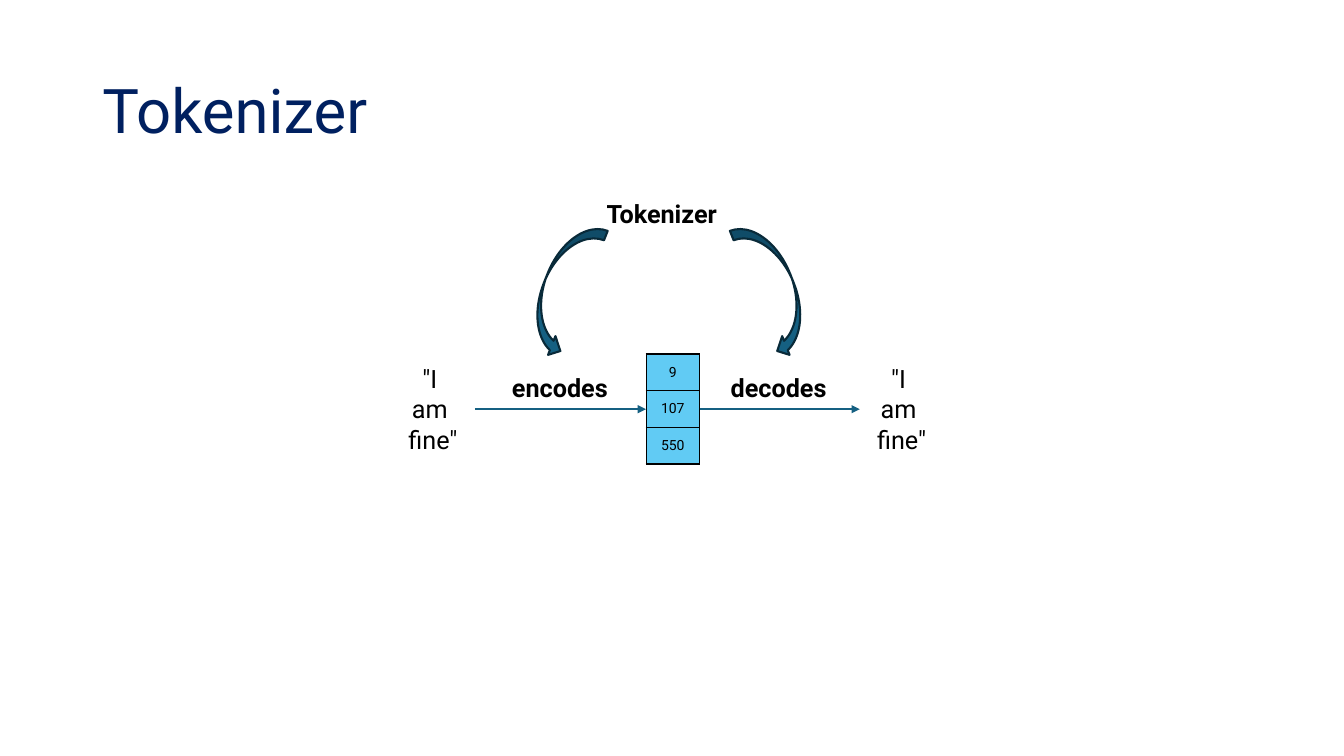
from lxml.etree import SubElement
from pptx import Presentation
from pptx.dml.color import RGBColor as RGB
from pptx.enum.shapes import MSO_CONNECTOR as LINE, MSO_SHAPE as SHAPE
from pptx.enum.text import MSO_ANCHOR as ANCHOR, PP_ALIGN as ALIGN
from pptx.oxml.ns import qn
from pptx.util import Pt

FONT = "Roboto"
COLORS = {"title": "002060", "text": "000000", "box": "FFFFFF", "cell": "61CBF4",
          "arrow": "156082", "edge": "092A39"}

TITLE = "Tokenizer"
QUOTE = ['"I ', "am ", 'fine"']
TOKENS = ["9", "107", "550"]

# left, top, width, height in points
TITLE_BOX = (66, 28.8, 828, 104.4)
TABLE_BOX = (461.5, 252.9, 38.2, 78.6)
QUOTE_TOP, QUOTE_W, QUOTE_H = 256, 59.8, 72.7
QUOTES_X = [279.4, 614.2]
LABELS = [("Tokenizer", 426.2, 138.2, 100), ("encodes", 358.6, 262.1, 88.6),
          ("decodes", 514.8, 262.1, 89.3)]
FLOW_Y = 292.3
CURVE_TOP, CURVE_W, CURVE_H = 156.2, 28.8, 99.4
CURVES = [(388.1, 21.5, False), (538.6, -21.5, True)]  # left, turn, mirrored


def rgb(name):
    return RGB.from_string(COLORS[name])


def write(frame, text, size=18, color="text", bold=False, align=ALIGN.LEFT, space=None):
    lines = [text] if isinstance(text, str) else text
    for i, line in enumerate(lines):
        para = frame.paragraphs[0] if i == 0 else frame.add_paragraph()
        para.alignment = align
        if space:
            para.line_spacing = space
        run = para.add_run()
        run.text = line
        font = run.font
        font.name, font.size, font.bold = FONT, Pt(size), bold
        font.color.rgb = rgb(color)


def add_shape(kind, *box, fill, line=None):
    shape = slide.shapes.add_shape(kind, *map(Pt, box))
    shape.shadow.inherit = False
    shape.fill.solid()
    shape.fill.fore_color.rgb = rgb(fill)
    if line:
        shape.line.color.rgb = rgb(line)
        shape.line.width = Pt(1.5)
    else:
        shape.line.fill.background()
    return shape


def add_arrow(start, end):
    link = slide.shapes.add_connector(
        LINE.STRAIGHT, Pt(start), Pt(FLOW_Y), Pt(end), Pt(FLOW_Y))
    link.line.color.rgb = rgb("arrow")
    link.line.width = Pt(1.5)
    SubElement(link.line._get_or_add_ln(), qn("a:tailEnd"), type="triangle")
    SubElement(link._element.spPr, qn("a:effectLst"))


def add_border(cell):
    props = cell._tc.get_or_add_tcPr()
    for i, side in enumerate(("lnL", "lnR", "lnT", "lnB")):
        edge = props.makeelement(qn(f"a:{side}"), {"w": str(Pt(1))})
        fill = SubElement(edge, qn("a:solidFill"))
        SubElement(fill, qn("a:srgbClr"), val=COLORS["text"])
        props.insert(i, edge)


deck = Presentation()
deck.slide_width, deck.slide_height = Pt(960), Pt(540)
slide = deck.slides.add_slide(deck.slide_layouts[5])

title = slide.shapes.title
title.left, title.top, title.width, title.height = map(Pt, TITLE_BOX)
title.text_frame.vertical_anchor = ANCHOR.MIDDLE
write(title.text_frame, TITLE, size=44, color="title", space=0.9)

for x in QUOTES_X:
    quote = add_shape(SHAPE.RECTANGLE, x, QUOTE_TOP, QUOTE_W, QUOTE_H, fill="box")
    quote.text_frame.word_wrap = True
    quote.text_frame.vertical_anchor = ANCHOR.TOP
    write(quote.text_frame, QUOTE, align=ALIGN.CENTER)

table = slide.shapes.add_table(len(TOKENS), 1, *map(Pt, TABLE_BOX)).table
table.first_row = table.horz_banding = False
for row, token in zip(table.rows, TOKENS):
    row.height = Pt(TABLE_BOX[3] / len(TOKENS))
    cell = row.cells[0]
    cell.vertical_anchor = ANCHOR.MIDDLE
    cell.fill.solid()
    cell.fill.fore_color.rgb = rgb("cell")
    add_border(cell)
    write(cell.text_frame, token, size=10, align=ALIGN.CENTER)

for text, x, y, width in LABELS:
    label = slide.shapes.add_textbox(Pt(x), Pt(y), Pt(width), Pt(29))
    label.text_frame.word_wrap = False
    write(label.text_frame, text, bold=True)

add_arrow(QUOTES_X[0] + QUOTE_W, TABLE_BOX[0])
add_arrow(TABLE_BOX[0] + TABLE_BOX[2], QUOTES_X[1])

for x, turn, mirror in CURVES:
    curve = add_shape(SHAPE.CURVED_RIGHT_ARROW, x, CURVE_TOP, CURVE_W, CURVE_H,
                      fill="arrow", line="edge")
    curve.rotation = turn
    if mirror:
        curve._element.spPr.xfrm.set("flipH", "1")

deck.save("out.pptx")
